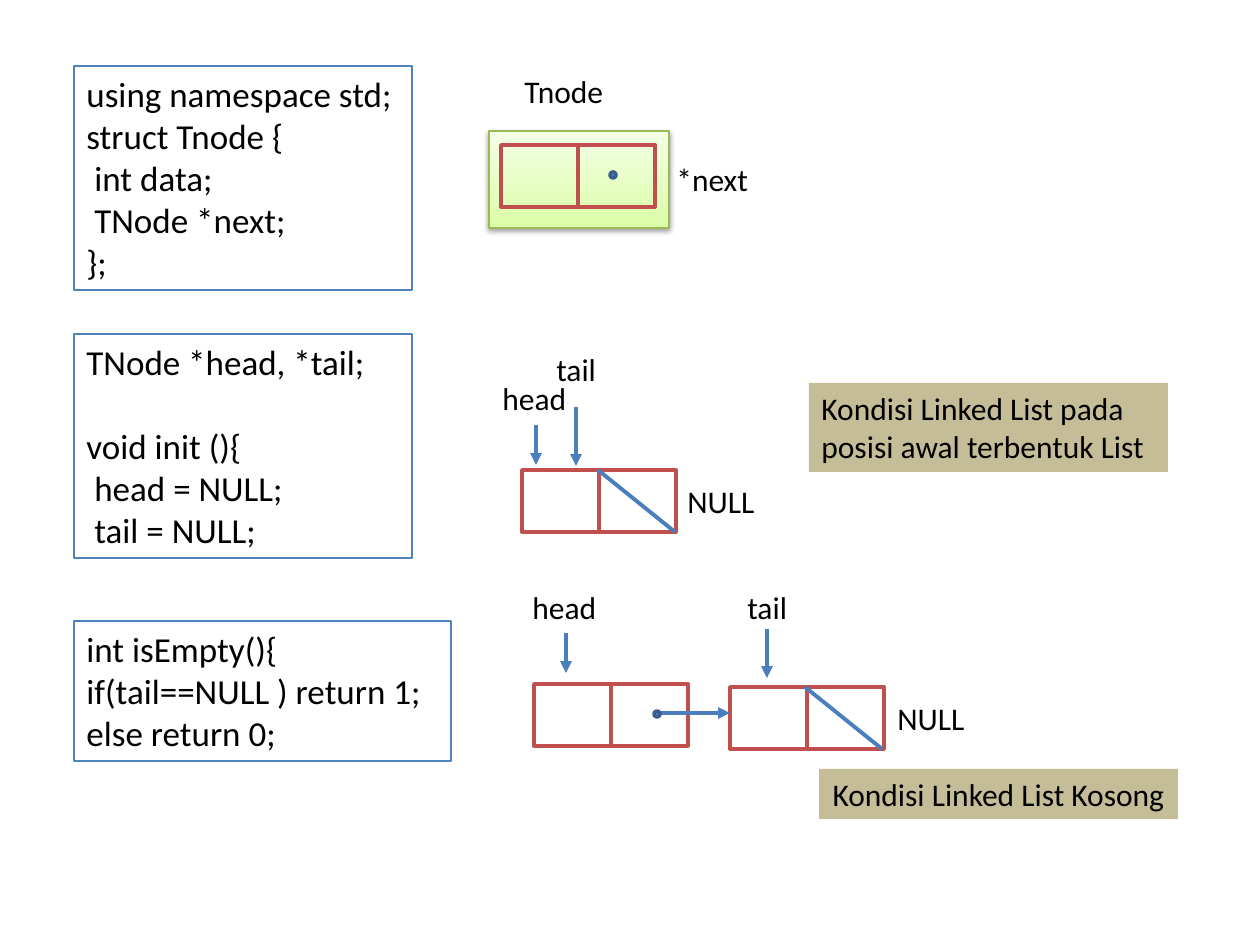
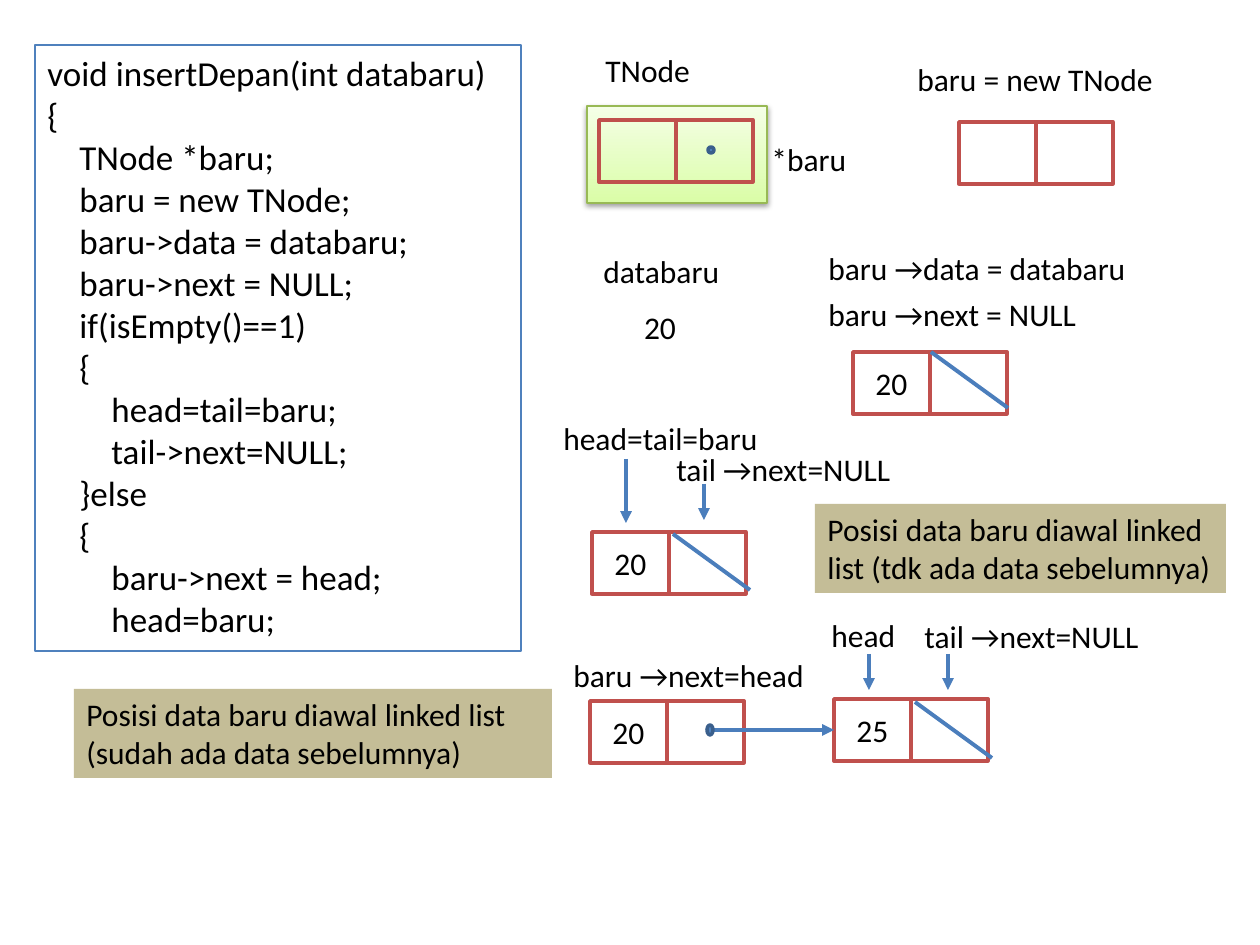
from lxml.etree import SubElement
from pptx import Presentation
from pptx.dml.color import RGBColor
from pptx.enum.shapes import MSO_CONNECTOR, MSO_SHAPE
from pptx.enum.text import MSO_ANCHOR, MSO_AUTO_SIZE, PP_ALIGN
from pptx.oxml.ns import qn
from pptx.util import Inches, Pt

BLACK = RGBColor(0x00, 0x00, 0x00)
BLUE = RGBColor(0x4F, 0x81, 0xBD)
LINK_BLUE = RGBColor(0x4B, 0x7E, 0xBC)
DARK_BLUE = RGBColor(0x3A, 0x5F, 0x8C)
RED = RGBColor(0xC0, 0x50, 0x4D)
TAN = RGBColor(0xC4, 0xBD, 0x97)
GREEN = RGBColor(0x98, 0xB9, 0x55)
LIME = RGBColor(0xDA, 0xFD, 0xA7)
PALE_LIME = RGBColor(0xF5, 0xFF, 0xE7)

FONT = "Calibri"
CELL_W, CELL_H = 77, 62
LABEL_H = 50
SPACE_W = 8

STRUCT_CODE = """using namespace std;
struct Tnode {
 int data;
 TNode *next;
};"""
INIT_CODE = """TNode *head, *tail;

void init (){
 head = NULL;
 tail = NULL;"""
EMPTY_CODE = """int isEmpty(){
if(tail==NULL ) return 1;
else return 0;"""
INSERT_CODE = """void insertDepan(int databaru)
{
    TNode *baru;
    baru = new TNode;
    baru->data = databaru;
    baru->next = NULL;
    if(isEmpty()==1)
    {
        head=tail=baru;
        tail->next=NULL;
    }else
    {
        baru->next = head;
        head=baru;"""


def px(n):
    return Inches(n / 126)


def style(p, size=18, align=PP_ALIGN.LEFT):
    p.alignment = align
    p.font.name = FONT
    p.font.size = Pt(size)
    p.font.color.rgb = BLACK


def shape(s, kind, x, y, w, h, fill=None, line=None, weight=0.75):
    sp = s.shapes.add_shape(kind, px(x), px(y), px(w), px(h))
    sp.shadow.inherit = False
    if fill is None:
        sp.fill.background()
    else:
        sp.fill.solid()
        sp.fill.fore_color.rgb = fill
    if line is None:
        sp.line.fill.background()
    else:
        sp.line.color.rgb = line
        sp.line.width = Pt(weight)
    return sp


def code(s, x, y, w, h, source):
    sp = shape(s, MSO_SHAPE.RECTANGLE, x, y, w, h, line=BLUE)
    tf = sp.text_frame
    tf.word_wrap = True
    tf.vertical_anchor = MSO_ANCHOR.TOP
    p, gap = tf.paragraphs[0], 0
    for i, row in enumerate(source.split("\n")):
        text = row.lstrip()
        if not text:
            gap = 24
            continue
        if i:
            p = tf.add_paragraph()
        p.text = text
        style(p, 20)
        p.space_before = Pt(gap)
        indent = (len(row) - len(text)) * SPACE_W
        p._p.get_or_add_pPr().set("marL", str(px(indent)))
        gap = 0


def label(s, x, y, w, text, align=PP_ALIGN.LEFT):
    tf = s.shapes.add_textbox(px(x), px(y), px(w), px(LABEL_H)).text_frame
    tf.word_wrap = False
    tf.auto_size = MSO_AUTO_SIZE.SHAPE_TO_FIT_TEXT
    tf.text = text
    style(tf.paragraphs[0], align=align)


def note(s, x, y, w, h, text, align=PP_ALIGN.LEFT):
    tf = shape(s, MSO_SHAPE.RECTANGLE, x, y, w, h, fill=TAN).text_frame
    tf.word_wrap = True
    tf.vertical_anchor = MSO_ANCHOR.TOP
    tf.text = text
    style(tf.paragraphs[0], align=align)


def node(s, x, y, value=""):
    data, _ = [shape(s, MSO_SHAPE.RECTANGLE, x + i * CELL_W, y, CELL_W, CELL_H,
                     line=RED, weight=2) for i in range(2)]
    if value:
        data.text_frame.text = value
        style(data.text_frame.paragraphs[0], align=PP_ALIGN.CENTER)


def dot(s, x, y, h=6):
    shape(s, MSO_SHAPE.OVAL, x, y, 6, h, BLUE, DARK_BLUE, 2)


def struct_node(s, x, y):
    sp = shape(s, MSO_SHAPE.RECTANGLE, x, y, 180, 97, line=GREEN)
    sp.fill.gradient()
    sp.fill.gradient_angle = 90
    for stop, color in zip(sp.fill.gradient_stops, (LIME, PALE_LIME)):
        stop.color.rgb = color
    effects = sp._element.spPr.find(qn("a:effectLst"))
    shadow = SubElement(effects, qn("a:outerShdw"), blurRad="40000",
                        dist="20000", dir="5400000", rotWithShape="0")
    color = SubElement(shadow, qn("a:srgbClr"), val=str(BLACK))
    SubElement(color, qn("a:alpha"), val="38000")
    node(s, x + 12, y + 14)
    dot(s, x + 121, y + 41)


def link(s, x1, y1, x2, y2, arrow=True):
    c = s.shapes.add_connector(MSO_CONNECTOR.STRAIGHT,
                               px(x1), px(y1), px(x2), px(y2))
    c.line.color.rgb = LINK_BLUE
    c.line.width = Pt(2.25)
    if arrow:
        SubElement(c.line._get_or_add_ln(), qn("a:tailEnd"), type="triangle")
    SubElement(c._element.spPr, qn("a:effectLst"))


def pointer(s, x, top, bottom):
    link(s, x, top, x, bottom)


def null_slash(s, x, y, h):
    link(s, x, y, x + CELL_W, y + h, arrow=False)


def declarations(s):
    code(s, 74, 66, 338, 224, STRUCT_CODE)
    code(s, 74, 334, 338, 224, INIT_CODE)
    code(s, 74, 621, 377, 140, EMPTY_CODE)

    struct_node(s, 489, 131)
    label(s, 512, 66, 105, "Tnode")
    label(s, 664, 154, 98, "*next")

    node(s, 522, 470)
    null_slash(s, 598, 470, CELL_H)
    pointer(s, 536, 425, 465)
    pointer(s, 576, 407, 466)
    label(s, 490, 373, 91, "head")
    label(s, 544, 344, 66, "tail")
    label(s, 675, 476, 93, "NULL")
    note(s, 809, 383, 359, 89,
         "Kondisi Linked List pada posisi awal terbentuk List")

    node(s, 534, 684)
    node(s, 730, 687)
    null_slash(s, 805, 687, CELL_H)
    link(s, 654, 713, 730, 713)
    dot(s, 654, 711)
    pointer(s, 566, 633, 673)
    pointer(s, 767, 629, 678)
    label(s, 520, 582, 91, "head")
    label(s, 735, 582, 66, "tail")
    label(s, 885, 693, 93, "NULL")
    note(s, 819, 769, 359, 50, "Kondisi Linked List Kosong", PP_ALIGN.CENTER)


def insert_front(s):
    code(s, 35, 45, 486, 606, INSERT_CODE)

    struct_node(s, 587, 106)
    label(s, 593, 45, 111, "TNode")
    label(s, 759, 134, 101, "*baru")
    node(s, 959, 122)
    label(s, 905, 54, 265, "baru = new TNode")

    label(s, 591, 246, 142, "databaru")
    label(s, 631, 302, 58, "20", PP_ALIGN.CENTER)
    label(s, 816, 243, 329, "baru →data = databaru")
    label(s, 816, 289, 278, "baru →next = NULL")
    node(s, 853, 352, "20")
    null_slash(s, 931, 352, 56)

    node(s, 592, 532, "20")
    null_slash(s, 673, 534, 56)
    pointer(s, 626, 459, 523)
    pointer(s, 704, 484, 520)
    label(s, 551, 413, 229, "head=tail=baru")
    label(s, 664, 444, 244, "tail →next=NULL")
    note(s, 815, 504, 411, 89,
         "Posisi data baru diawal linked list (tdk ada data sebelumnya)")

    node(s, 590, 701, "20")
    node(s, 834, 699, "25")
    null_slash(s, 915, 702, 56)
    link(s, 711, 730, 834, 730)
    dot(s, 707, 725, 10)
    pointer(s, 869, 654, 690)
    pointer(s, 948, 654, 690)
    label(s, 561, 650, 261, "baru →next=head")
    label(s, 819, 610, 91, "head")
    label(s, 912, 611, 244, "tail →next=NULL")
    note(s, 74, 689, 478, 89,
         "Posisi data baru diawal linked list (sudah ada data sebelumnya)")


def main():
    prs = Presentation()
    prs.slide_width, prs.slide_height = Inches(10), Inches(7.5)
    for build in (declarations, insert_front):
        build(prs.slides.add_slide(prs.slide_layouts[6]))
    prs.save("out.pptx")


if __name__ == "__main__":
    main()
